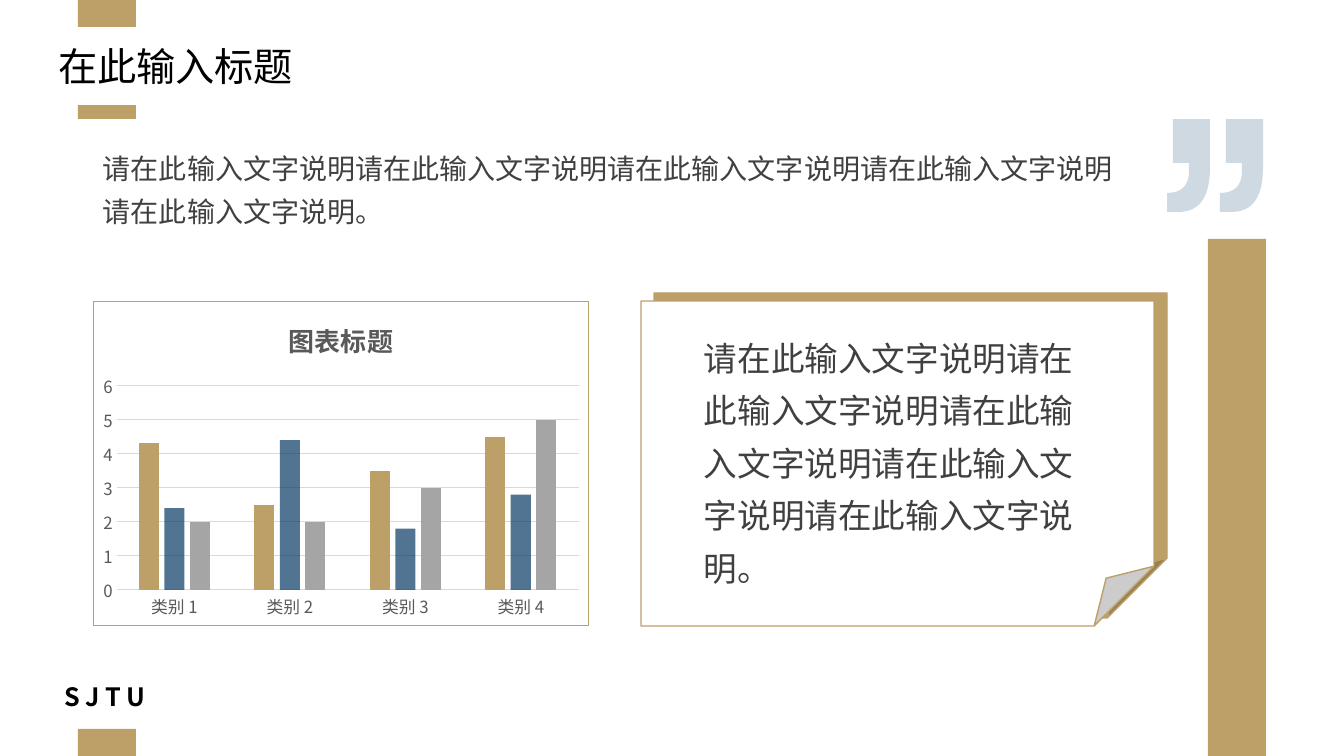
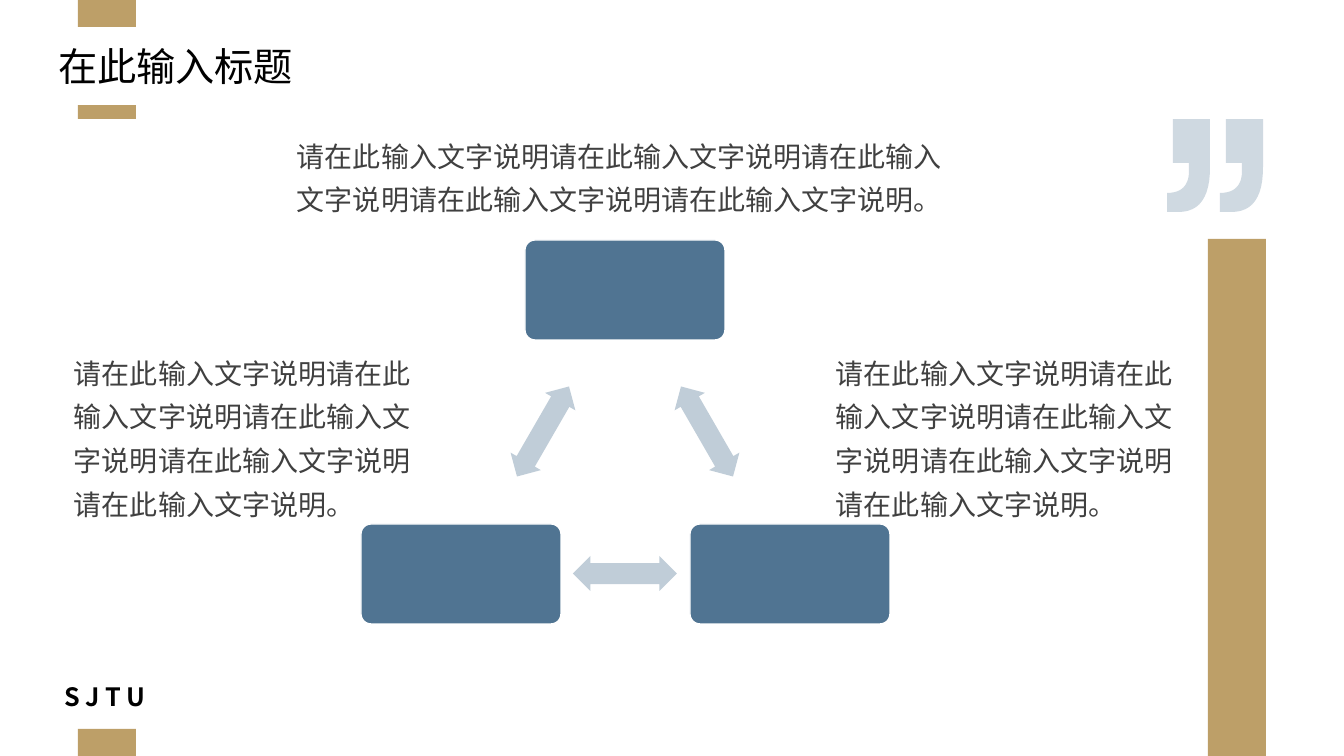
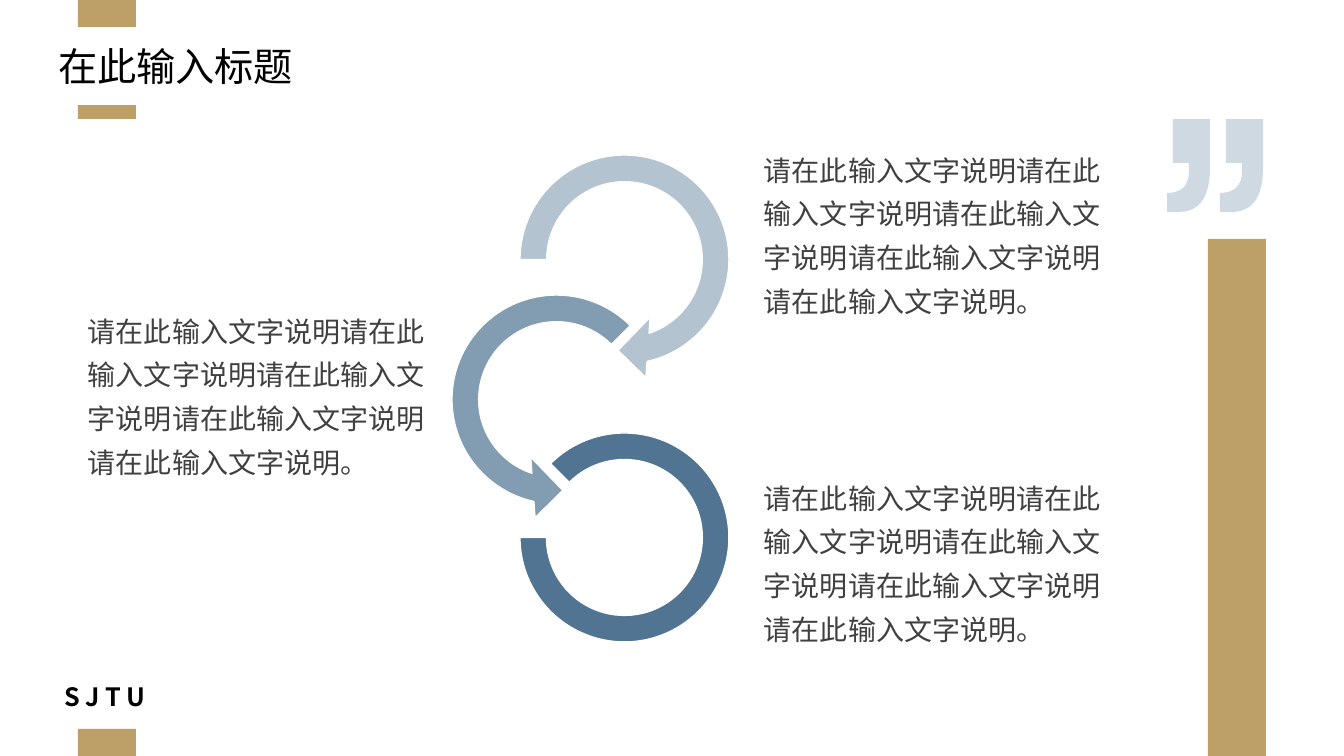
from lxml import etree
from pptx import Presentation
from pptx.chart.data import CategoryChartData
from pptx.dml.color import RGBColor
from pptx.enum.chart import XL_CHART_TYPE, XL_TICK_MARK
from pptx.enum.shapes import MSO_SHAPE
from pptx.enum.text import MSO_ANCHOR, MSO_AUTO_SIZE, PP_ALIGN
from pptx.oxml import parse_xml
from pptx.oxml.ns import nsdecls, qn
from pptx.util import Pt

PX = 914400 / 100.8
RECT, ROUNDED, FOLDED = MSO_SHAPE.RECTANGLE, MSO_SHAPE.ROUNDED_RECTANGLE, MSO_SHAPE.FOLDED_CORNER
TWO_WAY, ARC = MSO_SHAPE.LEFT_RIGHT_ARROW, MSO_SHAPE.BLOCK_ARC
CIRCULAR, LEFT_CIRCULAR = MSO_SHAPE.CIRCULAR_ARROW, MSO_SHAPE.LEFT_CIRCULAR_ARROW
COLUMNS, NO_TICK = XL_CHART_TYPE.COLUMN_CLUSTERED, XL_TICK_MARK.NONE
NO_FIT, LEFT = MSO_AUTO_SIZE.NONE, PP_ALIGN.LEFT
MIDDLE, BOTTOM = MSO_ANCHOR.MIDDLE, MSO_ANCHOR.BOTTOM

COLORS = {"gold": "BD9F68", "navy": "063A65", "mist": "C0CDD8", "gray": "A5A5A5",
          "white": "FFFFFF", "black": "000000", "text": "404040",
          "axis": "595959", "grid": "D9D9D9"}
RGB = {name: RGBColor.from_string(value) for name, value in COLORS.items()}
CJK, LATIN = "Noto Sans CJK SC", "Arial"
SENTENCE = "请在此输入文字说明" * 5 + "。"


def paint(target, color, opacity=100, line=None):
    """Fill and outline a shape or the format of a chart series."""
    target.fill.solid()
    target.fill.fore_color.rgb = RGB[color]
    if opacity < 100:
        tone = target.fill._xPr.find(qn("a:solidFill"))[0]
        etree.SubElement(tone, qn("a:alpha"), val=str(opacity * 1000))
    if line:
        target.line.color.rgb = RGB[line]
        target.line.width = Pt(1)
    else:
        target.line.fill.background()
    if hasattr(target, "shadow"):
        target.shadow.inherit = False


def add_body(slide, box, size=20):
    """Add a description at a box given in px."""
    frame = slide.shapes.add_textbox(*[round(v * PX) for v in box]).text_frame
    frame.word_wrap = True
    paragraph = frame.paragraphs[0]
    paragraph.text = SENTENCE
    paragraph.line_spacing = 1.3
    paragraph.font.size = Pt(size)
    paragraph.font.name = LATIN
    paragraph.font.color.rgb = RGB["text"]


prs = Presentation()
prs.slide_width, prs.slide_height = round(1344 * PX), round(756 * PX)
layout = prs.slide_layouts[5]
slides = [prs.slides.add_slide(layout) for _ in range(3)]
chart_slide, triangle_slide, rings_slide = slides

# Titles
for slide in slides:
    title = slide.shapes.title
    title.left, title.top, title.width, title.height = [round(v * PX) for v in (48, 37, 1218, 57)]
    title.text_frame.text = "在此输入标题"
    title.text_frame.auto_size = NO_FIT
    title.text_frame.vertical_anchor = MIDDLE
    heading = title.text_frame.paragraphs[0]
    heading.alignment = LEFT
    heading.font.size = Pt(28)
    heading.font.name = CJK
    heading.font.color.rgb = RGB["black"]

# Shared decoration: drawn once, then moved to the layout
decoration = []
for box in [(78, 105, 58, 14), (78, 0, 58, 27), (78, 729, 58, 27), (1208, 239, 58, 517)]:
    band = chart_slide.shapes.add_shape(RECT, *[round(v * PX) for v in box])
    paint(band, "gold")
    decoration.append(band)

signature = chart_slide.shapes.add_textbox(*[round(v * PX) for v in (64, 685, 86, 27)])
frame = signature.text_frame
frame.margin_left = frame.margin_right = frame.margin_top = frame.margin_bottom = 0
frame.vertical_anchor = BOTTOM
initials = frame.paragraphs[0]
initials.text = "S J T U"
initials.line_spacing = 0.9
initials.font.size = Pt(18)
initials.font.bold = True
initials.font.name = CJK
initials.font.color.rgb = RGB["black"]
decoration.append(signature)

# Quotation mark: each comma is straight edges (1 point) and Bezier curves (3 points)
comma = [[(1263, 119)], [(1263, 167)],
         [(1263, 197), (1253, 212), (1231, 212)], [(1220, 212)], [(1220, 193)],
         [(1235, 193), (1242, 185), (1242, 171)], [(1242, 163)], [(1226, 163)], [(1226, 119)]]
outline = []
for step in comma:
    if len(step) == 1:
        outline.append(step[0])
        continue
    controls = [outline[-1]] + step
    for i in range(1, 13):
        t = i / 12
        weights = ((1 - t) ** 3, 3 * t * (1 - t) ** 2, 3 * t * t * (1 - t), t ** 3)
        outline.append(tuple(sum(w * p[axis] for w, p in zip(weights, controls))
                             for axis in (0, 1)))
right_comma, left_comma = [[((x - shift) * 10, y * 10) for x, y in outline] for shift in (0, 53)]
builder = chart_slide.shapes.build_freeform(*right_comma[0], scale=PX / 10)
builder.add_line_segments(right_comma[1:])
builder.move_to(*left_comma[0])
builder.add_line_segments(left_comma[1:])
quote_mark = builder.convert_to_shape()
paint(quote_mark, "mist", 75)
decoration.append(quote_mark)

for part in decoration:
    layout.shapes.element.append(part.element)

# Slide 1: column chart
data = CategoryChartData()
data.categories = ["类别 1", "类别 2", "类别 3", "类别 4"]
data.add_series("Series 1", (4.3, 2.5, 3.5, 4.5))
data.add_series("Series 2", (2.4, 4.4, 1.8, 2.8))
data.add_series("Series 3", (2, 2, 3, 5))
chart = chart_slide.shapes.add_chart(
    COLUMNS, *[round(v * PX) for v in (93, 301, 496, 325)], data).chart
chart.has_legend = False
chart.font.size = Pt(12)
chart.font.name = CJK
chart.font.color.rgb = RGB["axis"]
chart.has_title = True
chart.chart_title.include_in_layout = False
caption = chart.chart_title.text_frame.paragraphs[0]
caption.text = "图表标题"
caption.font.size = Pt(18.6)
caption.font.bold = True
caption.font.name = CJK
caption.font.color.rgb = RGB["axis"]

plot = chart.plots[0]
plot.vary_by_categories = False
plot.gap_width, plot.overlap = 219, -27
for series, (color, opacity) in zip(plot.series, [("gold", 100), ("navy", 70), ("gray", 100)]):
    paint(series.format, color, opacity)

categories, values = chart.category_axis, chart.value_axis
values.minimum_scale, values.maximum_scale, values.major_unit = 0, 6, 1
values.format.line.fill.background()
for axis in (categories, values):
    axis.major_tick_mark = axis.minor_tick_mark = NO_TICK
for line in (categories.format.line, values.major_gridlines.format.line):
    line.color.rgb = RGB["grid"]
    line.width = Pt(0.75)
chart.element.find(qn("c:chart")).addnext(parse_xml(
    f'<c:spPr {nsdecls("c", "a")}><a:noFill/><a:ln w="9525"><a:solidFill>'
    f'<a:srgbClr val="{COLORS["gold"]}"/></a:solidFill></a:ln></c:spPr>'))

# Slide 1: folded note and descriptions
adjusted = []
for left, top, color in [(654, 293, "gold"), (641, 301, "white")]:
    note = chart_slide.shapes.add_shape(FOLDED, *[round(v * PX) for v in (left, top, 513, 325)])
    paint(note, color, line="gold")
    adjusted.append((note, [0.184]))
add_body(chart_slide, (694, 321, 408, 269), 24)
add_body(chart_slide, (93, 136, 1057, 94))

# Slide 2: triangle of boxes joined by two-way arrows
for left, top in [(525, 240), (690, 524), (361, 524)]:
    node = triangle_slide.shapes.add_shape(ROUNDED, *[round(v * PX) for v in (left, top, 200, 100)])
    paint(node, "navy", 70, "white")
    adjusted.append((node, [0.1]))
for left, top, angle in [(655, 414, 60), (573, 556, 180), (491, 414, 300)]:
    link = triangle_slide.shapes.add_shape(TWO_WAY, *[round(v * PX) for v in (left, top, 104, 35)])
    link.rotation = angle
    paint(link, "mist")
    adjusted.append((link, [0.6, 0.5]))
for box in [(64, 341, 360, 182), (826, 341, 360, 182), (287, 124, 675, 94)]:
    add_body(triangle_slide, box)

# Slide 3: chain of rings
rings = [(CIRCULAR, (503, 138, 243, 243), [0.11, 11.423, 45, 108, 0.125], 30),
         (LEFT_CIRCULAR, (435, 278, 243, 243), [0.11, 11.423, 63, 189, 0.125], 50),
         (ARC, (520, 433, 209, 209), [135, 108, 0.127], 70)]
for kind, box, settings, opacity in rings:
    ring = rings_slide.shapes.add_shape(kind, *[round(v * PX) for v in box])
    paint(ring, "navy", opacity, "white")
    adjusted.append((ring, settings))
for left, top in [(78, 299), (754, 138), (754, 466)]:
    add_body(rings_slide, (left, top, 360, 182))

# Geometry guides, also for presets that start without any
for shape, settings in adjusted:
    guides = shape.element.spPr.find(qn("a:prstGeom")).find(qn("a:avLst"))
    for guide in list(guides):
        guides.remove(guide)
    for number, setting in enumerate(settings, 1):
        name = "adj" if len(settings) == 1 else f"adj{number}"
        etree.SubElement(guides, qn("a:gd"), name=name, fmla=f"val {round(setting * 100000)}")

prs.save("out.pptx")
